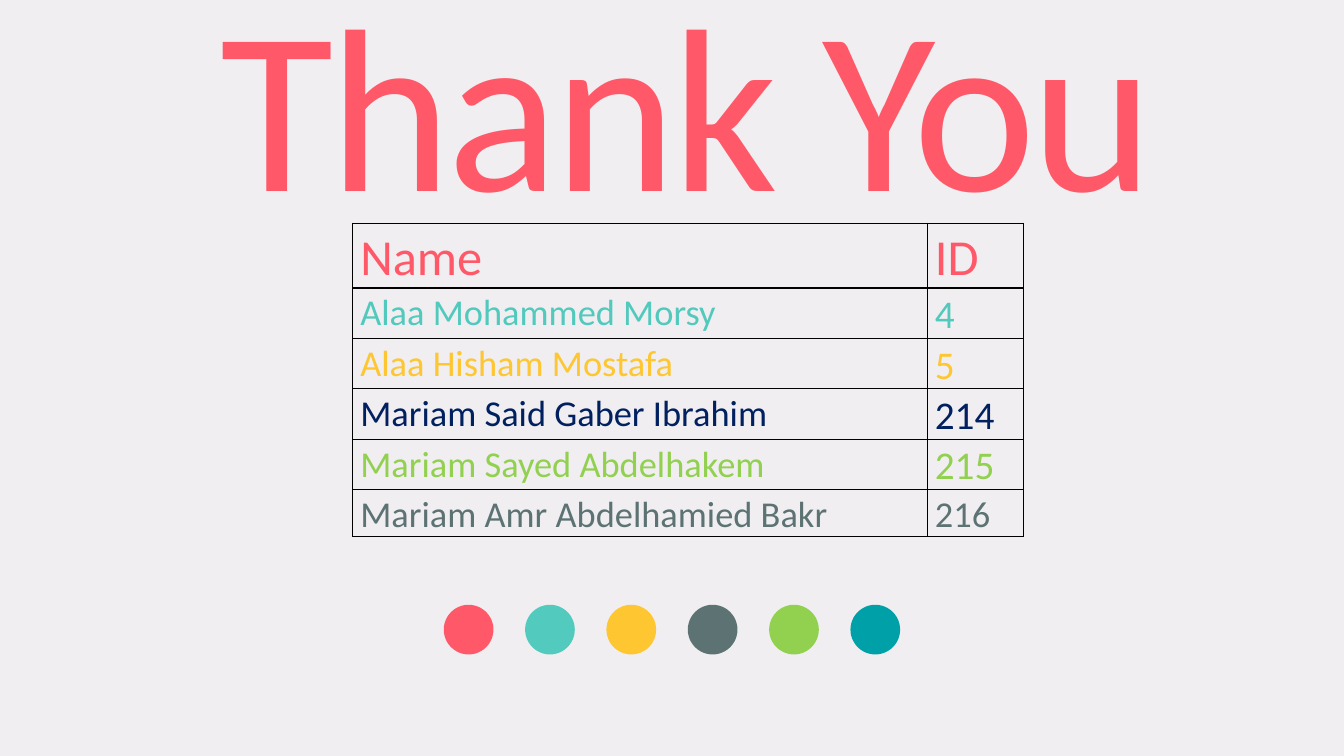
"""Build a thank-you slide with a table of team members and a row of colour dots."""
from dataclasses import dataclass

from lxml.etree import SubElement
from pptx import Presentation
from pptx.dml.color import RGBColor
from pptx.enum.shapes import MSO_SHAPE as Shape
from pptx.enum.text import MSO_AUTO_SIZE as AutoSize, PP_ALIGN as Align
from pptx.oxml.ns import qn
from pptx.util import Pt

TITLE = "Thank You"
MEMBERS = [
    ("Name", "ID", "coral"),
    ("Alaa Mohammed Morsy", "4", "aqua"),
    ("Alaa Hisham Mostafa", "5", "amber"),
    ("Mariam Said Gaber Ibrahim", "214", "navy"),
    ("Mariam Sayed Abdelhakem", "215", "lime"),
    ("Mariam Amr Abdelhamied Bakr", "216", "slate"),
]
DOTS = ["coral", "mint", "amber", "slate", "lime", "teal"]


@dataclass(frozen=True)
class Theme:
    """Colours and type sizes of the slide."""
    font: str = "Calibri"
    background: str = "F0EEF0"
    border: str = "000000"
    coral: str = "FF5969"
    aqua: str = "52C9BD"
    mint: str = "52CBBE"
    amber: str = "FEC630"
    navy: str = "002060"
    lime: str = "92D050"
    slate: str = "5D7373"
    teal: str = "00A0A8"
    title: int = 166
    header: int = 36
    name: int = 26
    number: int = 28

    def color(self, name):
        return RGBColor.from_string(getattr(self, name))


THEME = Theme()
SLIDE_WIDTH, SLIDE_HEIGHT = 960, 540
TITLE_BOX = (110.9, -32.4, 760.3, 208.1)
TABLE_LEFT, TABLE_TOP = 252, 159.4
COLUMNS = (410.4, 68.4)
HEADER_HEIGHT, ROW_HEIGHT, LAST_HEIGHT = 46.4, 36, 33.5
DOT_LEFT, DOT_TOP, DOT_SIZE, DOT_PITCH = 317, 432, 35.5, 58.1


def add_span(para, text, size, color):
    span = para.add_run()
    span.text = text
    span.font.name = THEME.font
    span.font.size = Pt(size)
    span.font.color.rgb = THEME.color(color)
    return span


def add_title(page):
    box = page.shapes.add_textbox(*map(Pt, TITLE_BOX))
    box.text_frame.word_wrap = True
    box.text_frame.auto_size = AutoSize.SHAPE_TO_FIT_TEXT
    para = box.text_frame.paragraphs[0]
    para.alignment = Align.CENTER
    span = add_span(para, TITLE, THEME.title, "coral")
    span.font._element.set("spc", "-300")


def add_borders(cell):
    properties = cell._tc.get_or_add_tcPr()
    for position, side in enumerate(("lnL", "lnR", "lnT", "lnB")):
        line = properties.makeelement(qn(f"a:{side}"), {"w": str(Pt(1))})
        fill = SubElement(line, qn("a:solidFill"))
        SubElement(fill, qn("a:srgbClr"), val=THEME.border)
        properties.insert(position, line)


def fill_cell(cell, text, size, color):
    cell.fill.background()
    cell.margin_left = cell.margin_right = Pt(5.4)
    cell.margin_top = cell.margin_bottom = 0
    para = cell.text_frame.paragraphs[0]
    para.line_spacing = 1.07
    add_span(para, text, size, color)
    add_borders(cell)


def add_members(page):
    last = len(MEMBERS) - 1
    heights = [HEADER_HEIGHT] + [ROW_HEIGHT] * (last - 1) + [LAST_HEIGHT]
    frame = page.shapes.add_table(
        len(MEMBERS), len(COLUMNS), Pt(TABLE_LEFT), Pt(TABLE_TOP),
        Pt(sum(COLUMNS)), Pt(sum(heights)))
    table = frame.table
    table.first_row = table.horz_banding = False
    for column, width in zip(table.columns, COLUMNS):
        column.width = Pt(width)
    for index, (name, number, color) in enumerate(MEMBERS):
        table.rows[index].height = Pt(heights[index])
        sizes = (THEME.name, THEME.number)
        if index == 0:
            sizes = (THEME.header, THEME.header)
        elif index == last:
            sizes = (THEME.name, THEME.name)
        for column, (text, size) in enumerate(zip((name, number), sizes)):
            fill_cell(table.cell(index, column), text, size, color)


def add_dots(page):
    group = page.shapes.add_group_shape()
    for index, color in enumerate(DOTS):
        dot = group.shapes.add_shape(
            Shape.OVAL, Pt(DOT_LEFT + index * DOT_PITCH), Pt(DOT_TOP),
            Pt(DOT_SIZE), Pt(DOT_SIZE))
        dot.shadow.inherit = False
        dot.fill.solid()
        dot.fill.fore_color.rgb = THEME.color(color)
        dot.line.fill.background()


def main():
    deck = Presentation()
    deck.slide_width, deck.slide_height = Pt(SLIDE_WIDTH), Pt(SLIDE_HEIGHT)
    page = deck.slides.add_slide(deck.slide_layouts[6])
    page.background.fill.solid()
    page.background.fill.fore_color.rgb = THEME.color("background")
    add_title(page)
    add_dots(page)
    add_members(page)
    deck.save("out.pptx")


if __name__ == "__main__":
    main()
